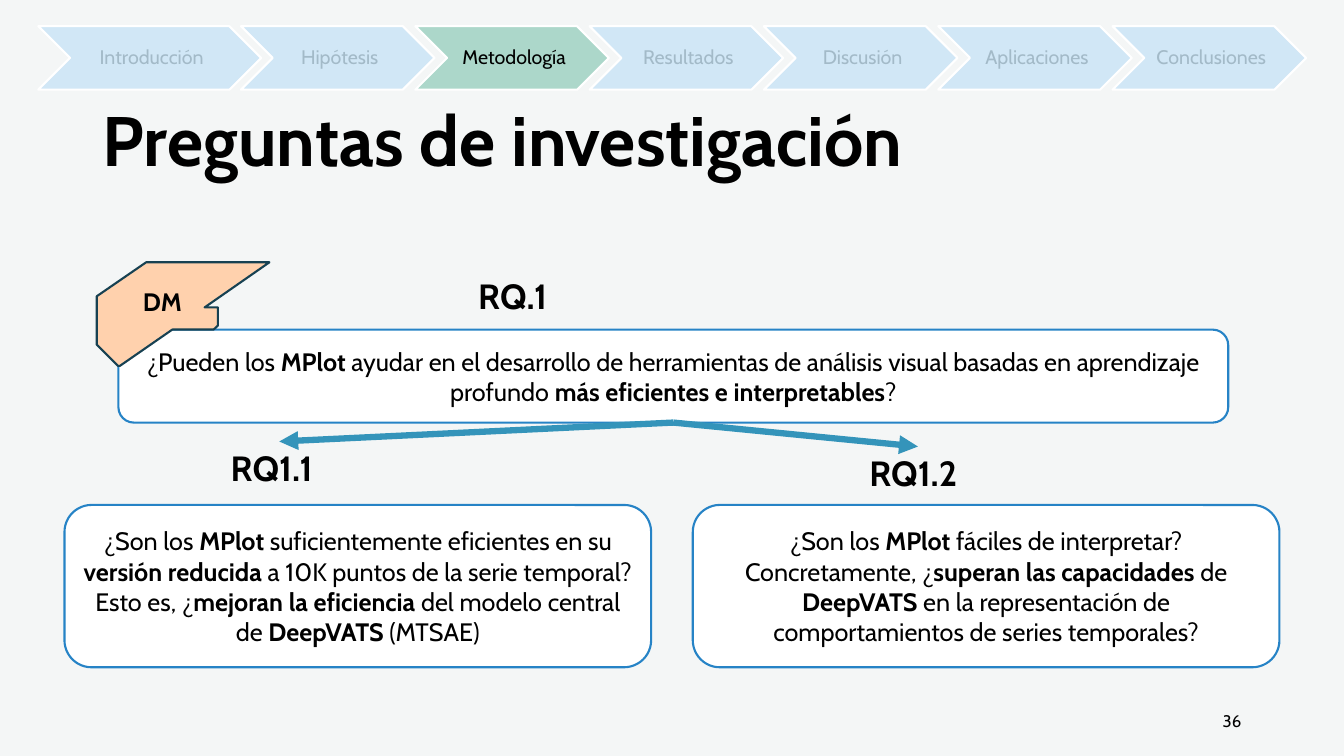
from dataclasses import dataclass

from lxml.etree import SubElement
from pptx import Presentation
from pptx.dml.color import RGBColor
from pptx.enum.shapes import MSO_CONNECTOR as Link, MSO_SHAPE as Preset
from pptx.enum.text import MSO_ANCHOR as Anchor, PP_ALIGN as Align
from pptx.oxml.ns import qn
from pptx.util import Inches, Pt

WIDTH, HEIGHT = Inches(13.333), Inches(7.5)


@dataclass(frozen=True)
class Theme:
    font: str = "Cabin"
    background: str = "F4F6F6"
    ink: str = "000000"
    faded: str = "A3BAC8"
    white: str = "FFFFFF"
    step: str = "D1E7F6"
    current_step: str = "ACD7CA"
    question_edge: str = "2683C6"
    arrow: str = "3494BA"
    tag: str = "FFD1AD"
    tag_edge: str = "174152"
    title_size: float = 50
    label_size: float = 25
    body_size: float = 18
    step_size: float = 14
    number_size: float = 12
    edge_width: float = 1.5
    arrow_width: float = 4.5


THEME = Theme()
STEPS = ["Introducción", "Hipótesis", "Metodología", "Resultados",
         "Discusión", "Aplicaciones", "Conclusiones"]
CURRENT = "Metodología"
MAIN_QUESTION = ("¿Pueden los **MPlot** ayudar en el desarrollo de herramientas de "
                 "análisis visual basadas en aprendizaje profundo "
                 "**más eficientes e interpretables**?")
SUBQUESTIONS = [
    ("RQ1.1", (16.43, 58.4), 4.8,
     "¿Son los **MPlot **suficientemente eficientes en su **versión reducida** a 10K "
     "puntos de la serie temporal? Esto es, ¿**mejoran la eficiencia** del modelo "
     "central de **DeepVATS** (MTSAE)"),
    ("RQ1.2", (63.95, 59.07), 51.55,
     "¿Son los **MPlot** fáciles de interpretar? Concretamente, ¿**superan las "
     "capacidades** de **DeepVATS** en la representación de comportamientos de "
     "series temporales?"),
]
TAG_OUTLINE = [(10.88, 34.7), (20.05, 34.7), (15.23, 40.67), (16.22, 40.67),
               (16.22, 43.07), (15.9, 43.6), (12.83, 43.6), (8.93, 48.4),
               (8.78, 48.4), (7.2, 45.6), (7.2, 39.2)]


def across(share):
    return round(WIDTH * share / 100)


def down(share):
    return round(HEIGHT * share / 100)


def area(left, top, width, height):
    return across(left), down(top), across(width), down(height)


def apply(target, values):
    for name, value in values.items():
        setattr(target, name, value)


def paint(shape, fill, edge):
    shape.shadow.inherit = False
    shape.fill.solid()
    shape.fill.fore_color.rgb = RGBColor.from_string(fill)
    shape.line.color.rgb = RGBColor.from_string(edge)
    shape.line.width = Pt(THEME.edge_width)


def write(shape, text, size, color=THEME.ink, bold=False, align=Align.LEFT,
          spacing=1.0, **frame_format):
    frame = shape.text_frame
    apply(frame, {"word_wrap": True} | frame_format)
    paragraph = frame.paragraphs[0]
    apply(paragraph, {"alignment": align, "line_spacing": spacing})
    for index, part in enumerate(text.split("**")):
        if part:
            run = paragraph.add_run()
            run.text = part
            apply(run.font, {"name": THEME.font, "size": Pt(size),
                             "bold": bold or index % 2 == 1})
            run.font.color.rgb = RGBColor.from_string(color)


def add_label(slide, place, text, size, **text_format):
    label = slide.shapes.add_textbox(*area(*place))
    write(label, text, size, **text_format)
    return label


def add_heading(slide, left, top, width, text):
    return add_label(slide, (left, top, width, 6.93), text, THEME.label_size,
                     bold=True, word_wrap=False)


def add_question(slide, place, text):
    question = slide.shapes.add_shape(Preset.FLOWCHART_ALTERNATE_PROCESS, *area(*place))
    paint(question, THEME.white, THEME.question_edge)
    write(question, text, THEME.body_size, align=Align.CENTER,
          vertical_anchor=Anchor.MIDDLE)
    return question


def add_arrow(slide, question, heading):
    arrow = slide.shapes.add_connector(Link.STRAIGHT, 0, 0, 0, 0)
    arrow.begin_connect(question, 2)
    arrow.end_connect(heading, 0)
    arrow.line.color.rgb = RGBColor.from_string(THEME.arrow)
    arrow.line.width = Pt(THEME.arrow_width)
    properties = arrow._element.spPr
    SubElement(properties.find(qn("a:ln")), qn("a:tailEnd"), type="triangle")
    SubElement(properties, qn("a:effectLst"))


def add_steps(slide):
    for index, name in enumerate(STEPS):
        left, width = (17.93 + 12.97 * (index - 1), 14.4) if index else (2.85, 16.58)
        active = name == CURRENT
        step = slide.shapes.add_shape(Preset.CHEVRON, *area(left, 3.47, width, 8.4))
        paint(step, THEME.current_step if active else THEME.step, THEME.white)
        write(step, name, THEME.step_size, THEME.ink if active else THEME.faded,
              align=Align.CENTER, spacing=0.9, vertical_anchor=Anchor.MIDDLE,
              margin_left=Inches(0.06), margin_top=Inches(0.02),
              margin_right=Inches(0.02), margin_bottom=Inches(0.02))


def add_tag(slide):
    start, *corners = [(across(x), down(y)) for x, y in TAG_OUTLINE]
    outline = slide.shapes.build_freeform(*start)
    outline.add_line_segments(corners, close=True)
    paint(outline.convert_to_shape(), THEME.tag, THEME.tag_edge)
    add_label(slide, (9.9, 37.2, 4.58, 5.33), "DM", THEME.body_size,
              bold=True, word_wrap=False)


def main():
    deck = Presentation()
    apply(deck, {"slide_width": WIDTH, "slide_height": HEIGHT})
    slide = deck.slides.add_slide(deck.slide_layouts[6])
    slide.background.fill.solid()
    slide.background.fill.fore_color.rgb = RGBColor.from_string(THEME.background)

    add_label(slide, (6.9, 5.33, 86.25, 19.33), "Preguntas de investigación",
              THEME.title_size, bold=True, spacing=0.9, vertical_anchor=Anchor.BOTTOM)
    add_label(slide, (70.6, 92.67, 22.5, 5.33), "36", THEME.number_size,
              align=Align.RIGHT, vertical_anchor=Anchor.MIDDLE)
    main_question = add_question(slide, (8.81, 43.6, 82.58, 12.3), MAIN_QUESTION)
    add_heading(slide, 34.84, 35.6, 7.2, "RQ.1")
    for name, corner, left, text in SUBQUESTIONS:
        heading = add_heading(slide, *corner, 8.7, name)
        add_arrow(slide, main_question, heading)
        add_question(slide, (left, 66.8, 43.65, 21.47), text)
    add_steps(slide)
    add_tag(slide)
    deck.save("out.pptx")


if __name__ == "__main__":
    main()
